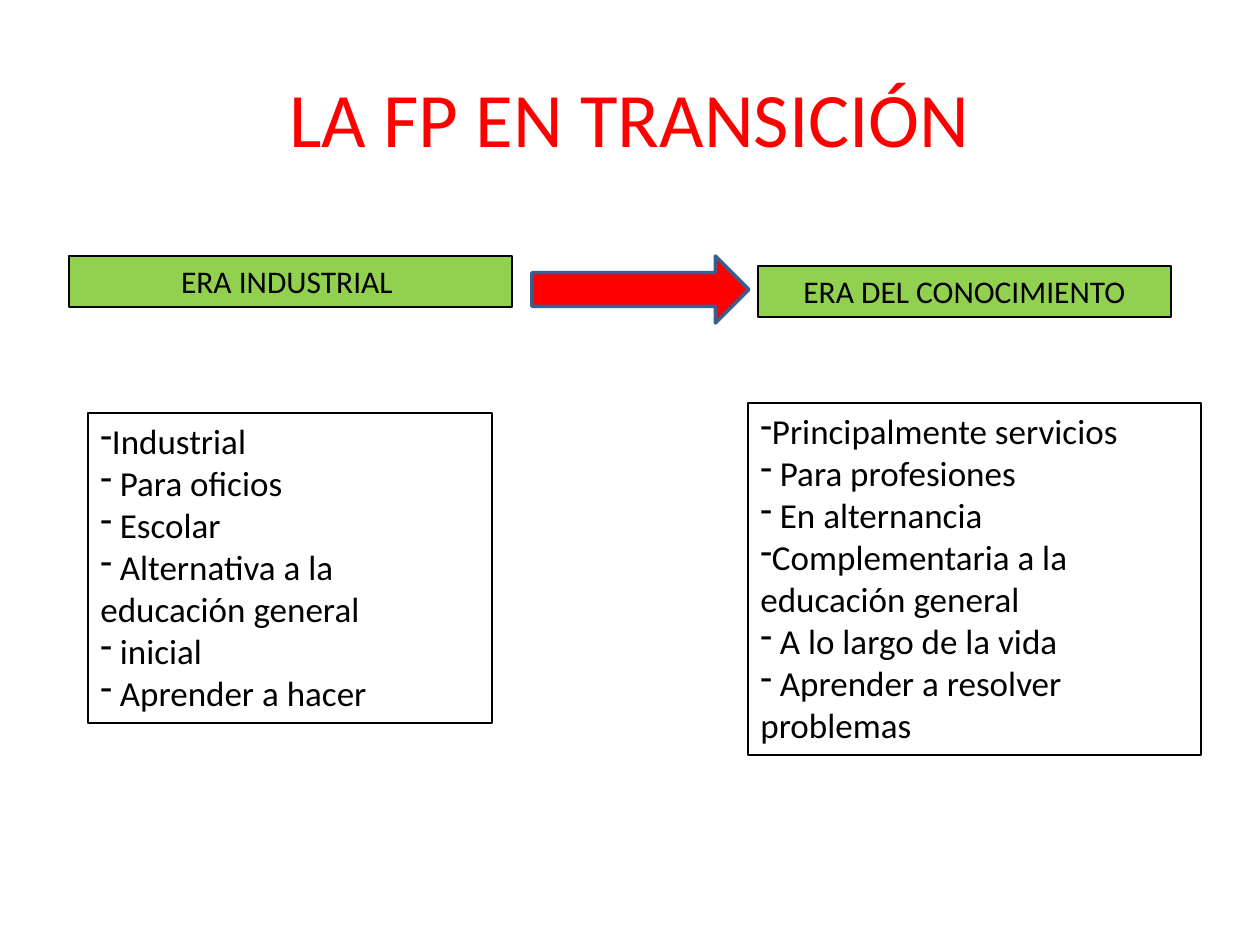
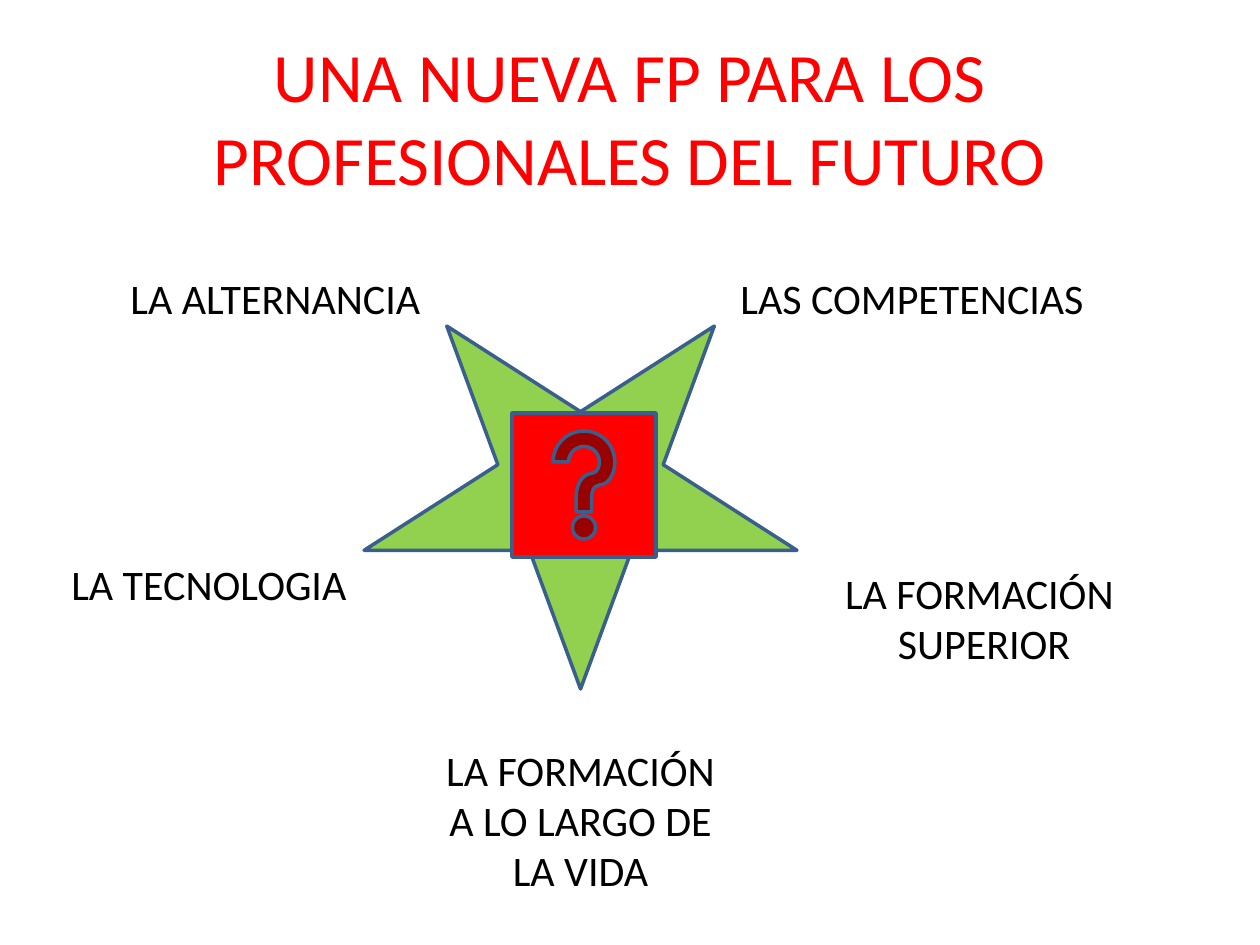
from pptx import Presentation
from pptx import util as u
from pptx.dml.color import RGBColor
from pptx.enum import shapes, text
from lxml import etree

SCALE = u.Inches(1) / 126
FONT = "Calibri"
RED = RGBColor(0xFF, 0x00, 0x00)
GREEN = RGBColor(0x92, 0xD0, 0x50)
BLUE = RGBColor(0x3A, 0x5F, 0x8C)
BLACK = RGBColor(0x00, 0x00, 0x00)
LEFT, CENTER = text.PP_ALIGN.LEFT, text.PP_ALIGN.CENTER
A = "{http://schemas.openxmlformats.org/drawingml/2006/main}"


def px(*lengths):
    return [u.Emu(round(n * SCALE)) for n in lengths]


class Deck:
    def __init__(self):
        self.prs = Presentation()
        self.prs.slide_width, self.prs.slide_height = px(1260, 945)

    def style(self, p, size, color, align):
        p.alignment = align
        p.font.name = FONT
        p.font.size = u.Pt(size)
        p.font.color.rgb = color

    def slide(self, title, size):
        self.s = self.prs.slides.add_slide(self.prs.slide_layouts[5])
        sp = self.s.shapes.title
        sp.left, sp.top, sp.width, sp.height = px(63, 38, 1134, 157)
        tf = sp.text_frame
        tf.text = title
        tf.word_wrap = True
        tf.auto_size = text.MSO_AUTO_SIZE.NONE
        tf.vertical_anchor = text.MSO_ANCHOR.MIDDLE
        self.style(tf.paragraphs[0], size, RED, CENTER)

    def label(self, box, lines, size=24, align=LEFT):
        sp = self.s.shapes.add_textbox(*px(*box))
        tf = sp.text_frame
        tf.word_wrap = True
        tf.auto_size = text.MSO_AUTO_SIZE.SHAPE_TO_FIT_TEXT
        tf.text = "\n".join(lines)
        for p in tf.paragraphs:
            self.style(p, size, BLACK, align)
        return sp

    def outline(self, sp, color, width):
        sp.line.color.rgb = color
        sp.line.width = u.Pt(width)

    def header(self, box, line):
        sp = self.label(box, [line], 18, CENTER)
        sp.fill.solid()
        sp.fill.fore_color.rgb = GREEN
        self.outline(sp, BLACK, 1.5)

    def dash_list(self, box, lines):
        sp = self.label(box, lines, 20)
        self.outline(sp, BLACK, 1)
        for p in sp.text_frame.paragraphs:
            pPr = p._p.get_or_add_pPr()
            bullet = etree.Element(A + "buChar", char="-")
            pPr.insert(0, bullet)

    def shape(self, kind, box, fill, rotation=0):
        sp = self.s.shapes.add_shape(kind, *px(*box))
        sp.shadow.inherit = False
        sp.rotation = rotation
        sp.fill.solid()
        sp.fill.fore_color.rgb = fill
        self.outline(sp, BLUE, 2)


deck = Deck()

deck.slide("LA FP EN TRANSICIÓN", 44)
deck.header((69, 256, 443, 51), "ERA INDUSTRIAL ")
deck.header((758, 266, 413, 51), "ERA DEL CONOCIMIENTO")
deck.shape(shapes.MSO_SHAPE.RIGHT_ARROW, (532, 256, 217, 67), RED)
deck.dash_list((88, 413, 404, 310), [
    "Industrial",
    " Para oficios",
    " Escolar",
    " Alternativa a la educación general ",
    " inicial",
    " Aprender a hacer",
])
deck.dash_list((748, 403, 453, 352), [
    "Principalmente servicios",
    " Para profesiones",
    " En alternancia",
    "Complementaria a la educación general",
    " A lo largo de la vida",
    " Aprender a resolver problemas",
])

deck.slide("UNA NUEVA FP PARA LOS PROFESIONALES DEL FUTURO", 39.6)
deck.label((118, 266, 335, 63), ["LA ALTERNANCIA"])
deck.label((728, 266, 374, 63), ["LAS COMPETENCIAS"])
deck.label((59, 552, 325, 63), ["LA TECNOLOGIA"])
deck.label((827, 561, 305, 115), ["LA FORMACIÓN", " SUPERIOR"], align=CENTER)
deck.label((433, 738, 295, 165), ["LA FORMACIÓN A LO LARGO DE LA VIDA"], align=CENTER)
deck.shape(shapes.MSO_SHAPE.STAR_5_POINT, (364, 326, 433, 363), GREEN, 180)
deck.shape(shapes.MSO_SHAPE.ACTION_BUTTON_HELP, (512, 413, 144, 144), RED)

deck.prs.save("out.pptx")
